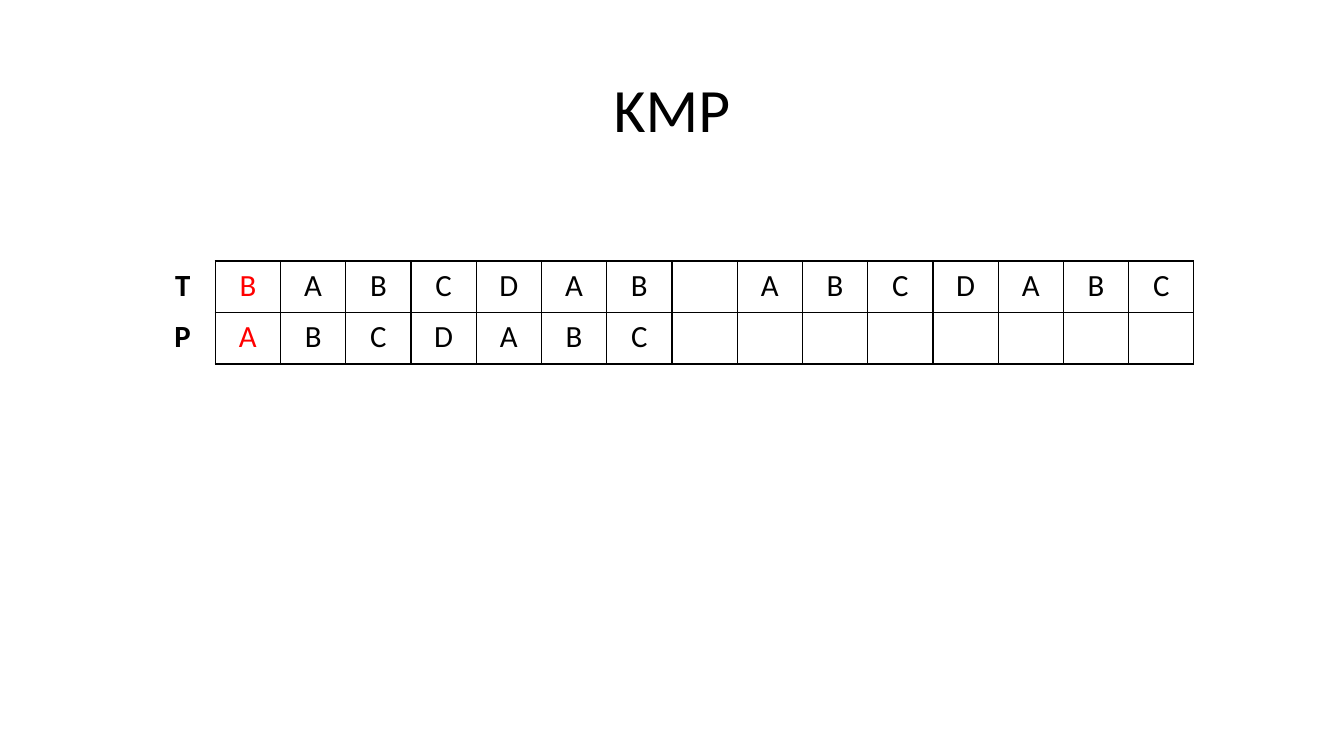
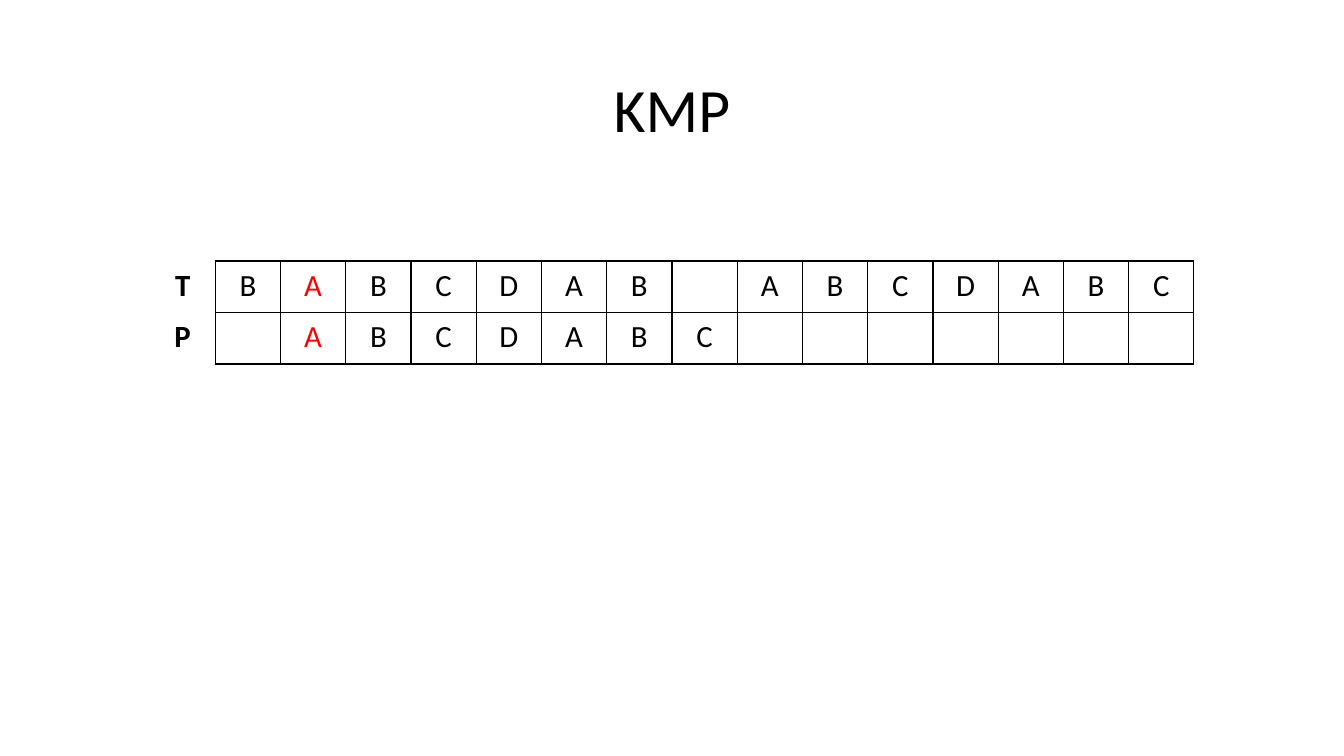
from dataclasses import dataclass

import lxml.etree
import pptx
import pptx.dml.color
import pptx.enum.text
import pptx.oxml.ns
import pptx.presentation
import pptx.slide
import pptx.table
import pptx.util

SLIDE_WIDTH, SLIDE_HEIGHT = 1344, 756
EMU_PER_PX = 12192000 / SLIDE_WIDTH
COLORS = {"ink": "000000", "compared": "FF0000"}
FONT = "Calibri"
TITLE_ONLY = 5
NO_EDGES = ""
ALL_EDGES = "LRTB"

TITLE = "KMP"
TEXT = "BABCDAB ABCDABC"
PATTERN = "ABCDABC"


@dataclass(frozen=True)
class Box:
    left: int
    top: int
    width: int
    height: int

    def emu(self) -> tuple[pptx.util.Emu, ...]:
        return tuple(px(n) for n in (self.left, self.top, self.width, self.height))


@dataclass(frozen=True)
class MatchStep:
    """One alignment of the pattern; its first letter is being compared."""

    shift: int


TITLE_BOX = Box(92, 40, 1160, 146)
GRID_BOX = Box(150, 261, 1044, 103)
STEPS = [MatchStep(shift=0), MatchStep(shift=1)]


def px(length: int) -> pptx.util.Emu:
    return pptx.util.Emu(round(length * EMU_PER_PX))


def add_run(paragraph, text: str, size: int, color: str, bold: bool = False) -> None:
    paragraph.alignment = pptx.enum.text.PP_ALIGN.CENTER
    run = paragraph.add_run()
    run.text = text
    run.font.name = FONT
    run.font.size = pptx.util.Pt(size)
    run.font.bold = bold
    run.font.color.rgb = pptx.dml.color.RGBColor.from_string(COLORS[color])


def set_title(slide: pptx.slide.Slide) -> None:
    title = slide.shapes.title
    title.left, title.top, title.width, title.height = TITLE_BOX.emu()
    title.text_frame.vertical_anchor = pptx.enum.text.MSO_ANCHOR.MIDDLE
    paragraph = title.text_frame.paragraphs[0]
    paragraph.line_spacing = 0.9
    add_run(paragraph, TITLE, 44, "ink")


def set_borders(cell: pptx.table._Cell, edges: str) -> None:
    """Rule the named edges (of L, R, T, B) and hide the others."""
    qn = pptx.oxml.ns.qn
    properties = cell._tc.get_or_add_tcPr()
    for position, edge in enumerate(ALL_EDGES):
        line = lxml.etree.Element(qn(f"a:ln{edge}"), w=str(pptx.util.Pt(1)))
        if edge in edges:
            fill = lxml.etree.SubElement(line, qn("a:solidFill"))
            lxml.etree.SubElement(fill, qn("a:srgbClr"), val=COLORS["ink"])
        else:
            lxml.etree.SubElement(line, qn("a:noFill"))
        properties.insert(position, line)


def fill_cell(cell: pptx.table._Cell, letter: str, color: str, is_label: bool) -> None:
    cell.fill.background()
    cell.margin_left = cell.margin_right = px(13)
    cell.margin_top = cell.margin_bottom = px(6)
    set_borders(cell, "R" if is_label else ALL_EDGES)
    if letter.strip():
        add_run(cell.text_frame.paragraphs[0], letter, 22, color, bold=is_label)


def add_match_grid(slide: pptx.slide.Slide, step: MatchStep) -> None:
    shifted = (" " * step.shift + PATTERN).ljust(len(TEXT))
    rows = ["T" + TEXT, "P" + shifted]
    grid = slide.shapes.add_table(len(rows), len(rows[0]), *GRID_BOX.emu()).table
    grid.first_row = grid.horz_banding = False
    compared_column = step.shift + 1
    for row, letters in enumerate(rows):
        for column, letter in enumerate(letters):
            color = "compared" if column == compared_column else "ink"
            fill_cell(grid.cell(row, column), letter, color, is_label=column == 0)


def add_step_slide(deck: pptx.presentation.Presentation, step: MatchStep) -> None:
    slide = deck.slides.add_slide(deck.slide_layouts[TITLE_ONLY])
    set_title(slide)
    add_match_grid(slide, step)


def main() -> None:
    deck = pptx.Presentation()
    deck.slide_width, deck.slide_height = px(SLIDE_WIDTH), px(SLIDE_HEIGHT)
    for step in STEPS:
        add_step_slide(deck, step)
    deck.save("out.pptx")


if __name__ == "__main__":
    main()
